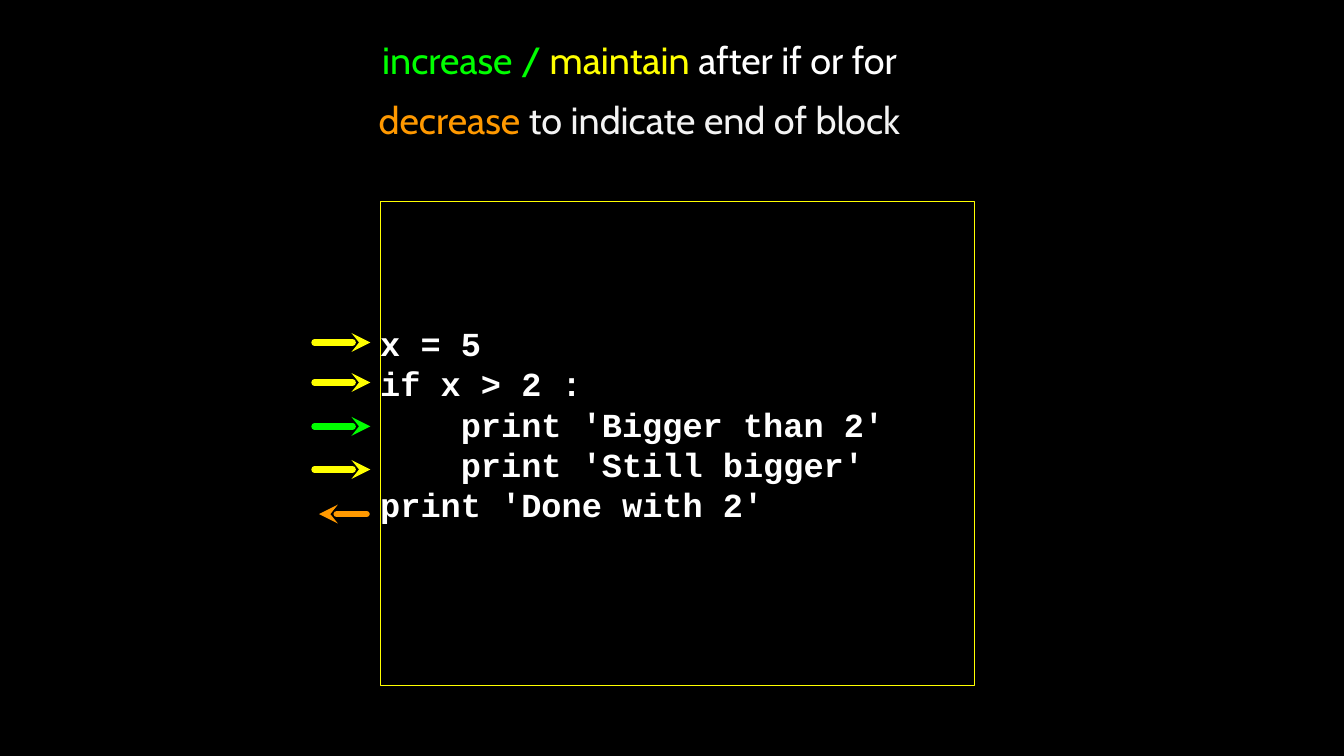
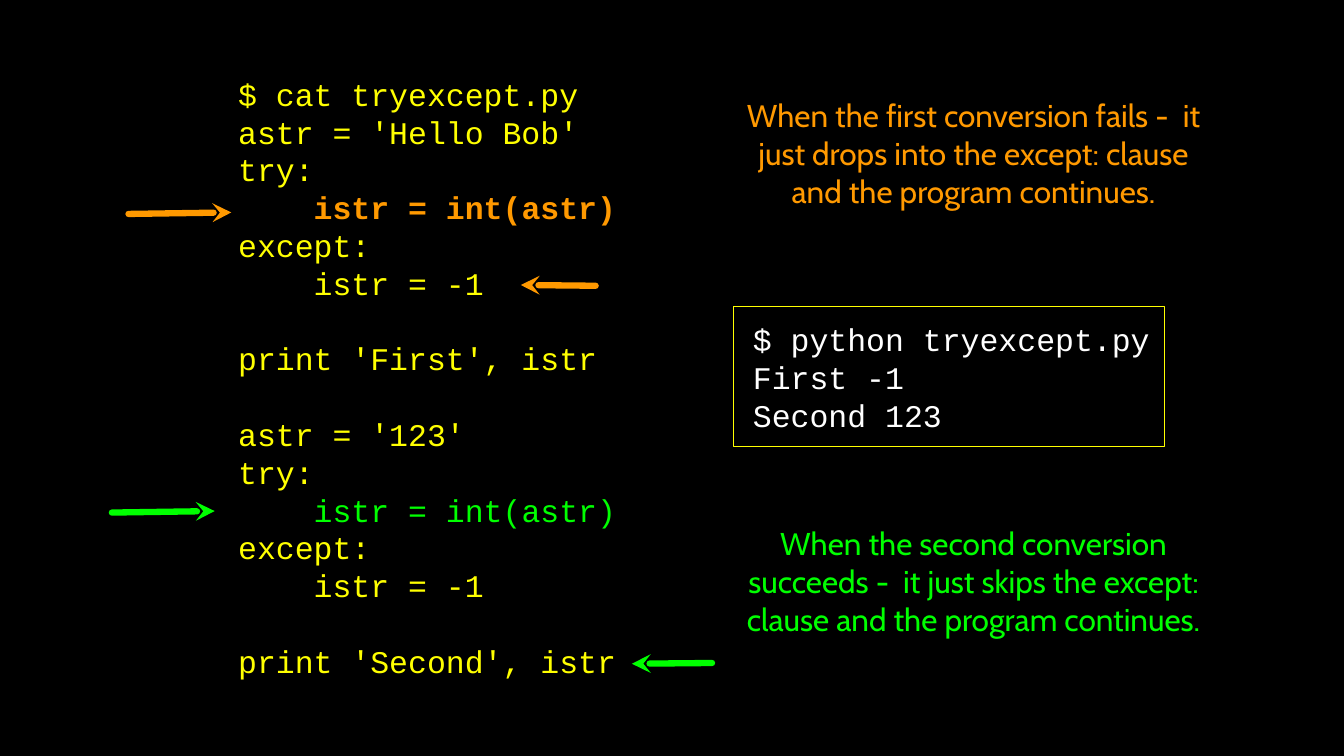
from lxml import etree
from pptx import Presentation
from pptx.dml.color import RGBColor
from pptx.enum.shapes import MSO_CONNECTOR, MSO_SHAPE
from pptx.enum.text import MSO_ANCHOR, MSO_AUTO_SIZE, PP_ALIGN
from pptx.oxml.ns import qn
from pptx.util import Inches, Pt

LEFT, CENTER = PP_ALIGN.LEFT, PP_ALIGN.CENTER
MIDDLE, NO_FIT = MSO_ANCHOR.MIDDLE, MSO_AUTO_SIZE.NONE
RECTANGLE, STRAIGHT = MSO_SHAPE.RECTANGLE, MSO_CONNECTOR.STRAIGHT

BLACK = RGBColor(0x00, 0x00, 0x00)
WHITE = RGBColor(0xFF, 0xFF, 0xFF)
PALE = RGBColor(0xF3, 0xF3, 0xF3)
YELLOW = RGBColor(0xFF, 0xFF, 0x00)
GREEN = RGBColor(0x00, 0xFF, 0x00)
ORANGE = RGBColor(0xFF, 0x99, 0x00)

PROSE, CODE = "Cabin", "Courier New"
WIDTH, HEIGHT = Inches(17.78), Inches(10)
CELL = HEIGHT / 10          # square grid cell
LINE_PITCH = 1.2            # code line height, in font sizes
CHAR_WIDTH = 0.6            # code character width, in font sizes
TITLE_ONLY, BLANK = 5, 6


def cells(*counts):
    return [round(count * CELL) for count in counts]


def prepare_frame(shape, bottom=0):
    frame = shape.text_frame
    frame.word_wrap = True
    frame.auto_size = NO_FIT
    frame.vertical_anchor = MIDDLE
    frame.margin_left = frame.margin_right = frame.margin_top = 0
    frame.margin_bottom = round(bottom * CELL)
    return frame


def add_para(frame, spans, font, size, color, align, bold=False):
    """Append a paragraph of (text, colour) spans; the first fills the empty one."""
    first = frame.paragraphs[0]
    para = frame.add_paragraph() if first.runs else first
    para.alignment = align
    para.font.name, para.font.size = font, Pt(size)
    para.font.bold = bold
    para.font.color.rgb = color
    for text, span_color in spans:
        span = para.add_run()
        span.text = text
        if span_color != color:
            span.font.color.rgb = span_color
    return para


def fill_code(frame, lines, size, color, bold=False, inset=0, highlights=None):
    """Write code: leading spaces become indents, empty lines become spacing."""
    highlights = highlights or {}
    gap = 0
    for number, line in enumerate(lines):
        if not line:
            gap += size * LINE_PITCH
            continue
        text = line.lstrip()
        line_color, line_bold = highlights.get(number, (color, bold))
        para = add_para(frame, [(text, line_color)], CODE, size, line_color,
                        LEFT, line_bold)
        para.line_spacing = Pt(size * LINE_PITCH)
        para.space_before = Pt(gap)
        indent = (len(line) - len(text) + inset) * CHAR_WIDTH * size
        properties = para._p.get_or_add_pPr()
        properties.set("marL", str(Pt(indent)))
        properties.set("indent", "0")
        gap = 0


def add_text_box(page, area):
    return page.shapes.add_textbox(*cells(*area))


def add_frame_box(page, area):
    box = page.shapes.add_shape(RECTANGLE, *cells(*area))
    box.shadow.inherit = False
    box.fill.background()
    box.line.color.rgb = YELLOW
    box.line.width = Pt(1)
    return box


def add_note(page, top, text, color):
    frame = prepare_frame(add_text_box(page, (9.66, top, 6.44, 1.57)))
    add_para(frame, [(text, color)], PROSE, 30, color, CENTER)


def add_arrow(page, tip, end, color):
    arrow = page.shapes.add_connector(STRAIGHT, *cells(*tip, *end))
    arrow.line.color.rgb = color
    arrow.line.width = Pt(6)
    outline = arrow.line._get_or_add_ln()
    outline.set("cap", "rnd")
    etree.SubElement(outline, qn("a:headEnd"), type="stealth")
    etree.SubElement(arrow._element.spPr, qn("a:effectLst"))


def add_indent_slide(deck):
    page = deck.slides.add_slide(deck.slide_layouts[TITLE_ONLY])

    # Code in its frame, with one empty line kept below
    box = add_frame_box(page, (5.03, 2.67, 7.86, 6.4))
    fill_code(prepare_frame(box, bottom=0.53), [
        "x = 5",
        "if x > 2 :",
        "    print 'Bigger than 2'",
        "    print 'Still bigger'",
        "print 'Done with 2'",
    ], 32, WHITE, bold=True)

    # Two-line title
    title = page.shapes.title
    title.left, title.top, title.width, title.height = cells(4.53, 0.39, 7.86, 1.82)
    frame = prepare_frame(title, bottom=0.24)
    add_para(frame, [("increase / ", GREEN), ("maintain ", YELLOW),
                     ("after if or for", WHITE)], PROSE, 36, WHITE, CENTER)
    second = add_para(frame, [("decrease ", ORANGE),
                              ("to indicate end of block", PALE)],
                      PROSE, 36, PALE, CENTER)
    second.space_before = Pt(14)

    # One arrow per code line
    for row, color in ((4.53, YELLOW), (5.06, YELLOW), (5.64, GREEN), (6.21, YELLOW)):
        add_arrow(page, (4.9, row), (4.16, row), color)
    add_arrow(page, (4.22, 6.8), (4.85, 6.8), ORANGE)


def add_try_slide(deck):
    page = deck.slides.add_slide(deck.slide_layouts[BLANK])

    # Program listing
    listing = add_text_box(page, (3.15, 0.38, 5.69, 9.22))
    fill_code(prepare_frame(listing), [
        "$ cat tryexcept.py",
        "astr = 'Hello Bob'",
        "try:",
        "    istr = int(astr)",
        "except:",
        "    istr = -1",
        "",
        "print 'First', istr",
        "",
        "astr = '123'",
        "try:",
        "    istr = int(astr)",
        "except:",
        "    istr = -1",
        "",
        "print 'Second', istr",
    ], 30, YELLOW, highlights={3: (ORANGE, True), 11: (GREEN, False)})

    # Program output
    output = add_frame_box(page, (9.71, 4.06, 5.69, 1.85))
    fill_code(prepare_frame(output), [
        "$ python tryexcept.py",
        "First -1",
        "Second 123",
    ], 30, WHITE, inset=1)

    # Explanations
    add_note(page, 1.24, "When the first conversion fails -  it just drops into "
             "the except: clause and the program continues.", ORANGE)
    add_note(page, 6.9, "When the second conversion succeeds -  it just skips "
             "the except: clause and the program continues.", GREEN)

    # Arrows to the lines that run
    for tip, end, color in (
        ((3.06, 2.81), (1.7, 2.83), ORANGE),
        ((6.89, 3.77), (7.88, 3.78), ORANGE),
        ((2.84, 6.76), (1.48, 6.78), GREEN),
        ((8.36, 8.78), (9.42, 8.77), GREEN),
    ):
        add_arrow(page, tip, end, color)


def main():
    deck = Presentation()
    deck.slide_width, deck.slide_height = WIDTH, HEIGHT
    background = deck.slide_master.background.fill
    background.solid()
    background.fore_color.rgb = BLACK
    add_indent_slide(deck)
    add_try_slide(deck)
    deck.save("out.pptx")


main()
